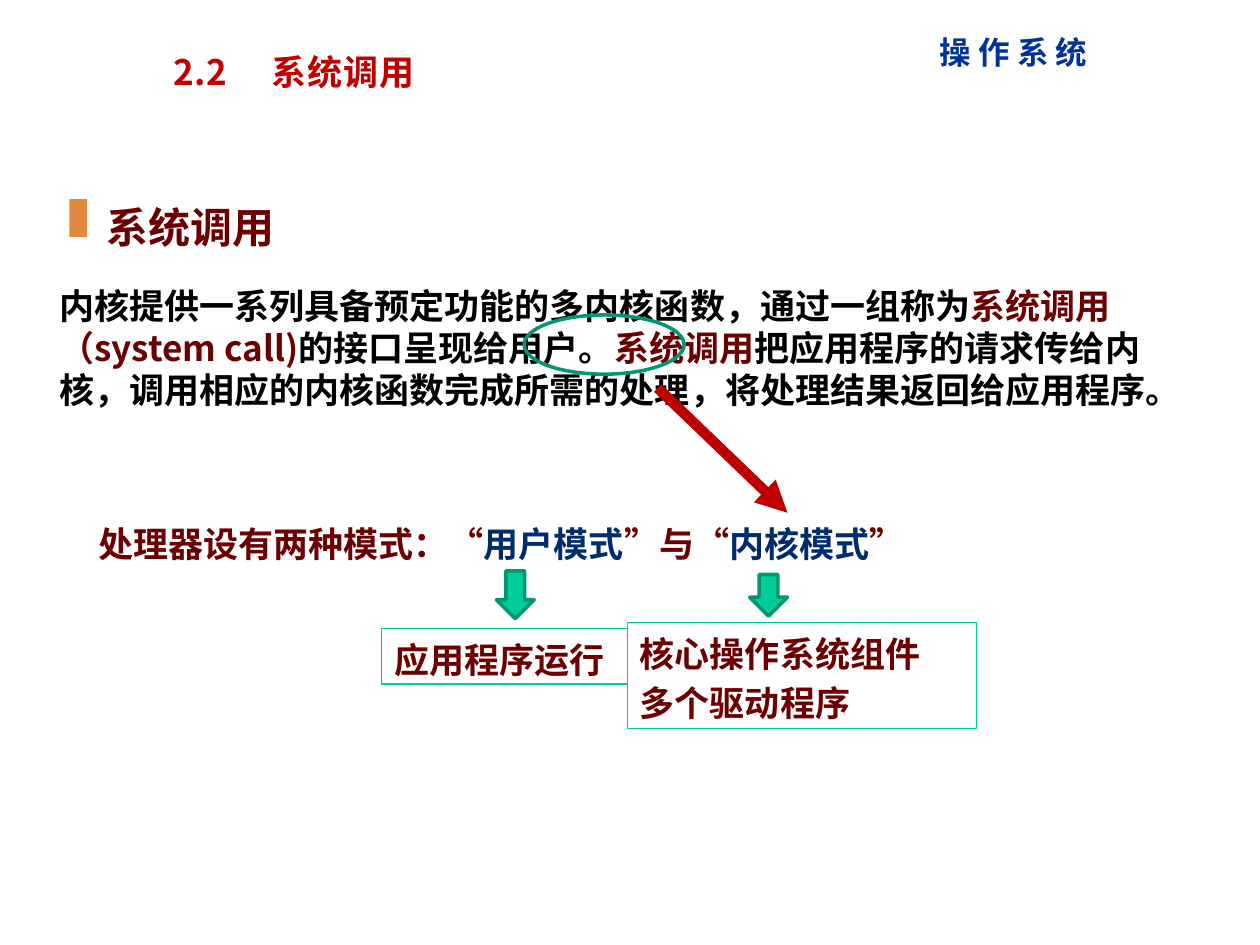
"""Build the slide on system calls and the two processor modes."""
from lxml import etree
from pptx import Presentation
from pptx.dml.color import RGBColor
from pptx.enum.shapes import MSO_CONNECTOR, MSO_SHAPE
from pptx.enum.text import MSO_ANCHOR, PP_ALIGN
from pptx.oxml.ns import qn
from pptx.util import Inches, Pt

RECTANGLE, ELLIPSE, DOWN_ARROW = MSO_SHAPE.RECTANGLE, MSO_SHAPE.OVAL, MSO_SHAPE.DOWN_ARROW
STRAIGHT = MSO_CONNECTOR.STRAIGHT
TOP, LEFT = MSO_ANCHOR.TOP, PP_ALIGN.LEFT
FONT = "Noto Sans CJK SC"
LINE_HEIGHT = 1.2
COLORS = {
    "blue": "003399", "red": "C00000", "maroon": "6C0000", "navy": "002C6C",
    "black": "000000", "green": "00CC99", "dark green": "009771", "orange": "E3893D",
}

HEADER = [[("操 作 系 统", "blue")]]
TITLE = [[("2.2\t系统调用", "red")]]
HEADING = [[("系统调用", "maroon")]]
MODES = [[
    ("处理器设有两种模式：“", "maroon"), ("用户模式", "navy"), ("”与“", "maroon"),
    ("内核模式", "navy"), ("”", "maroon"),
]]
BODY = [[
    ("内核提供一系列具备预定功能的多内核函数，通过一组称为", "black"),
    ("系统调用（system call)", "maroon"),
    ("的接口呈现给用户。", "black"),
    ("系统调用", "maroon"),
    ("把应用程序的请求传给内核，调用相应的内核函数完成所需的处理，"
     "将处理结果返回给应用程序。", "black"),
]]
TEXTS = [
    (HEADER, 18, (7.36, 0.18, 1.89, 0.4)),
    (HEADING, 24, (0.75, 1.52, 8.47, 0.5)),
    (MODES, 20, (0.68, 4.07, 8.28, 0.44)),
    (BODY, 20, (0.37, 2.18, 8.85, 1.11)),
]
MODE_BOXES = [
    ([[("应用程序运行", "maroon")]], (3.03, 4.99, 1.95, 0.44)),
    ([[("核心操作系统组件", "maroon")], [("多个驱动程序", "maroon")]], (4.98, 4.94, 2.77, 0.84)),
]
MARKS = [
    (DOWN_ARROW, (3.94, 4.53, 0.3, 0.38), "green", "dark green"),
    (DOWN_ARROW, (5.95, 4.56, 0.3, 0.33), "green", "dark green"),
    (ELLIPSE, (4.16, 2.5, 1.27, 0.47), None, "dark green"),
    (RECTANGLE, (0.55, 1.58, 0.14, 0.3), "orange", None),
]
POINTER = (5.22, 3.08, 6.25, 4.07)


def rgb(name):
    return RGBColor.from_string(COLORS[name])


def write(box, paragraphs, size):
    frame = box.text_frame
    frame.word_wrap = True
    frame.vertical_anchor = TOP
    frame.margin_top, frame.margin_bottom = Inches(0.08), Inches(0.02)
    for index, spans in enumerate(paragraphs):
        para = frame.add_paragraph() if index else frame.paragraphs[0]
        para.alignment = LEFT
        para.line_spacing = Pt(size * LINE_HEIGHT)
        para.space_before = Pt(size * 0.2 if index else 0)
        para.font.name, para.font.size, para.font.bold = FONT, Pt(size), True
        for text, color in spans:
            span = para.add_run()
            span.text = text
            span.font.name, span.font.size, span.font.bold = FONT, Pt(size), True
            span.font.color.rgb = rgb(color)
            etree.SubElement(span.font._element, qn("a:ea")).set("typeface", FONT)
    return frame


def add_text(page, paragraphs, size, place):
    return write(page.shapes.add_textbox(*map(Inches, place)), paragraphs, size)


def add_mark(page, kind, place, fill, line, width=2):
    shape = page.shapes.add_shape(kind, *map(Inches, place))
    shape.shadow.inherit = False
    if fill:
        shape.fill.solid()
        shape.fill.fore_color.rgb = rgb(fill)
    else:
        shape.fill.background()
    if line:
        shape.line.color.rgb = rgb(line)
        shape.line.width = Pt(width)
    else:
        shape.line.fill.background()
    return shape


def add_title(page):
    para = add_text(page, TITLE, 20, (1.28, 0.32, 6.24, 0.56)).paragraphs[0]
    para.runs[0].font._element.set("spc", "40")
    stops = etree.Element(qn("a:tabLst"))
    etree.SubElement(stops, qn("a:tab"), pos=str(Inches(0.78)), algn="l")
    properties = para._p.get_or_add_pPr()
    properties.find(qn("a:defRPr")).addprevious(stops)


def add_pointer(page):
    pointer = page.shapes.add_connector(STRAIGHT, *map(Inches, POINTER))
    pointer.line.color.rgb = rgb("red")
    pointer.line.width = Pt(6)
    etree.SubElement(pointer.line._get_or_add_ln(), qn("a:tailEnd"), type="triangle")
    etree.SubElement(pointer._element.spPr, qn("a:effectLst"))


def main():
    deck = Presentation()
    deck.slide_width, deck.slide_height = Inches(10), Inches(7.5)
    page = deck.slides.add_slide(deck.slide_layouts[6])
    add_title(page)
    for paragraphs, size, place in TEXTS:
        add_text(page, paragraphs, size, place)
    for paragraphs, place in MODE_BOXES:
        write(add_mark(page, RECTANGLE, place, None, "green", 0.75), paragraphs, 20)
    for mark in MARKS:
        add_mark(page, *mark)
    add_pointer(page)
    deck.save("out.pptx")


if __name__ == "__main__":
    main()
